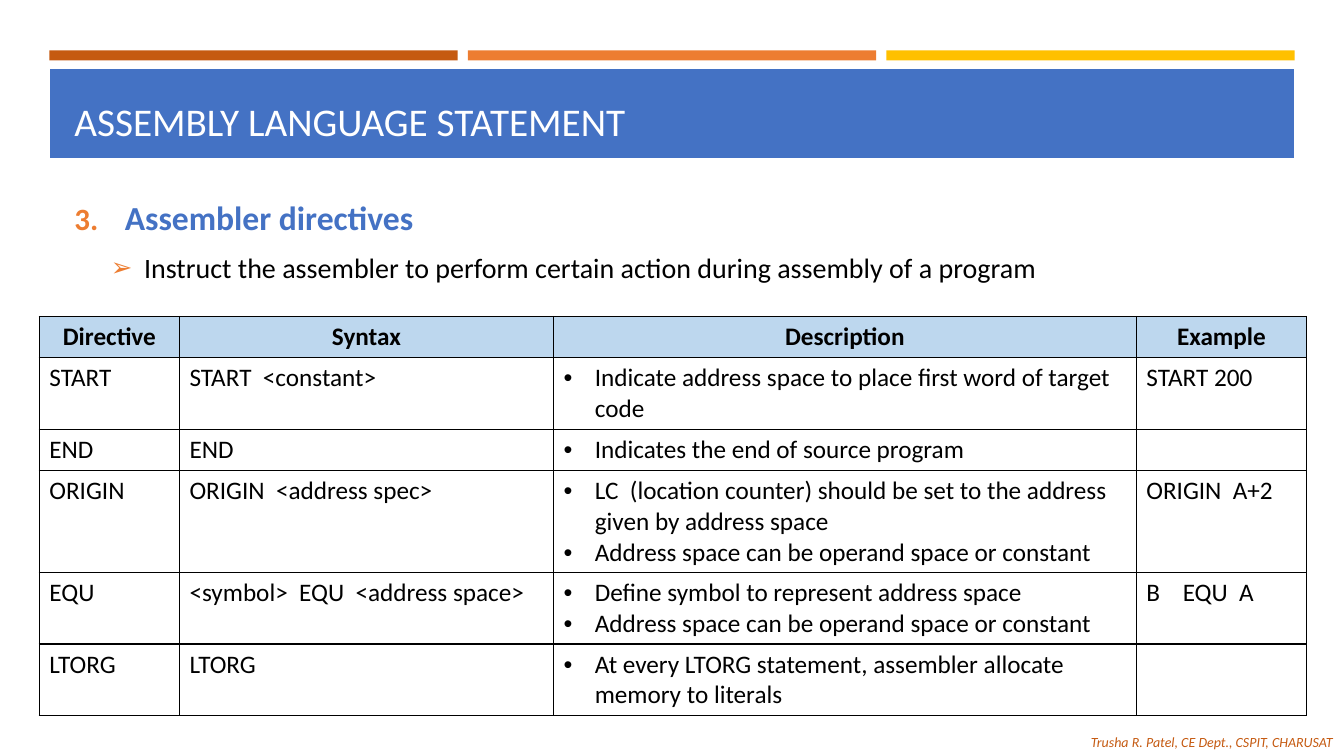
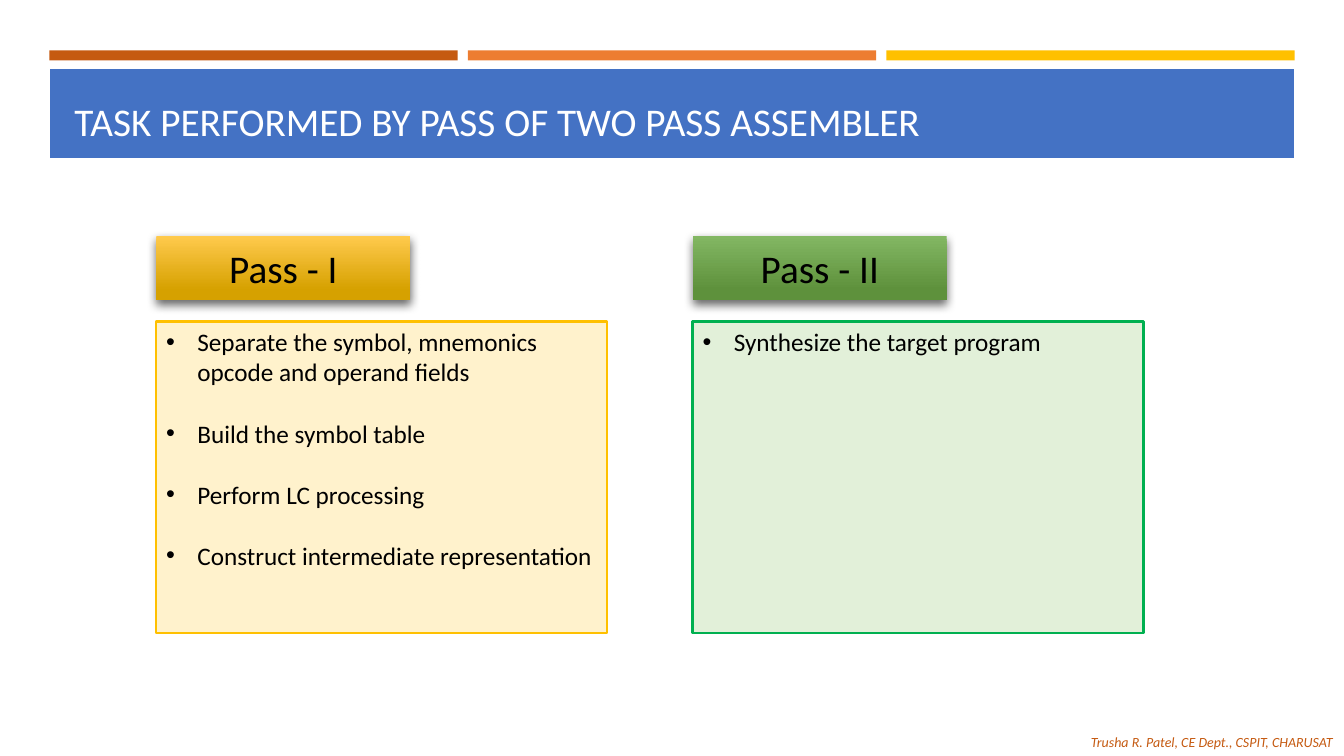
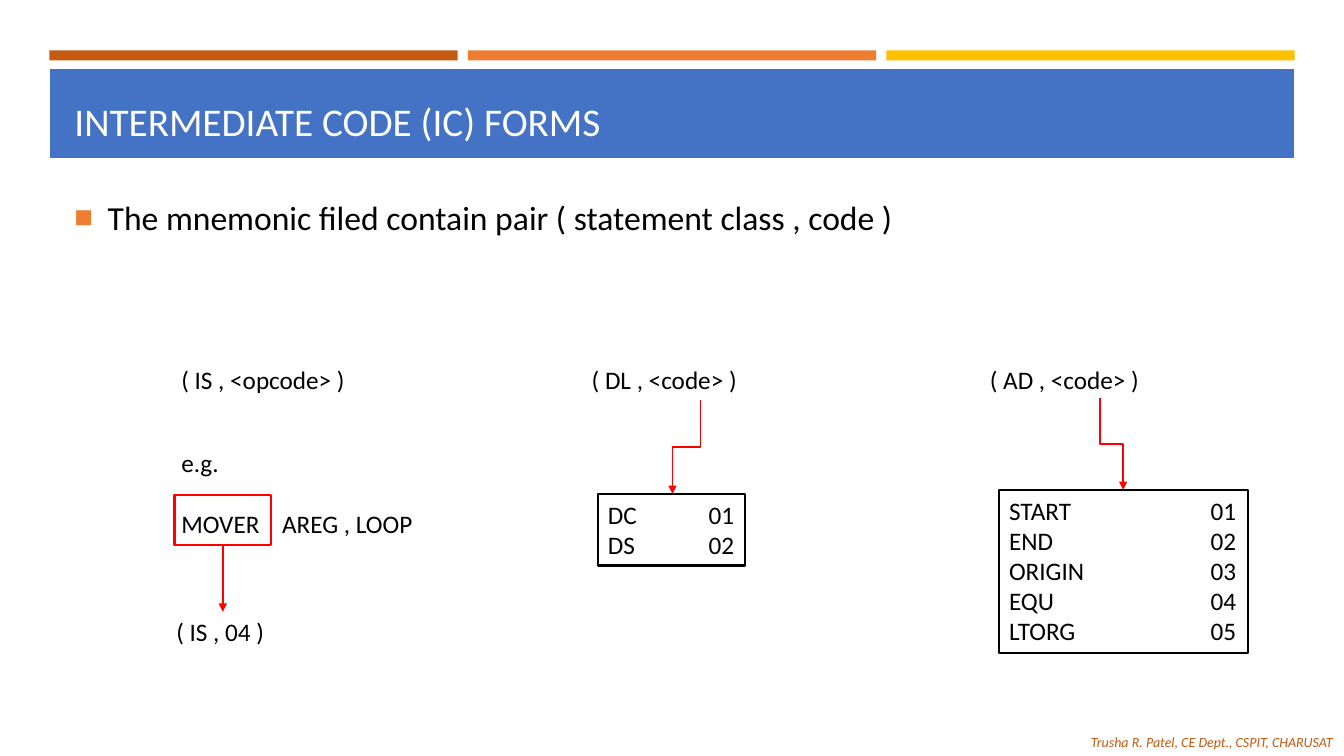
import lxml.etree
import pptx
import pptx.dml.color
import pptx.enum.shapes
import pptx.enum.text
import pptx.oxml.ns
import pptx.util

Inches = pptx.util.Inches
Pt = pptx.util.Pt
RECTANGLE = pptx.enum.shapes.MSO_SHAPE.RECTANGLE
CONNECTOR = pptx.enum.shapes.MSO_CONNECTOR
CENTER = pptx.enum.text.PP_ALIGN.CENTER
ANCHOR = pptx.enum.text.MSO_ANCHOR

FONT = "Calibri"
BLACK = "000000"
WHITE = "FFFFFF"
BLUE = "4472C4"
ORANGE = "ED7D31"
RUST = "C55A11"
GOLD = "FFC000"
GREEN = "00B050"
RED = "FF0000"
PALE_BLUE = "BDD7EE"


def rgb(value):
    return pptx.dml.color.RGBColor.from_string(value)


def add_child(parent, tag, **attributes):
    child = lxml.etree.SubElement(parent, pptx.oxml.ns.qn(tag))
    for name, value in attributes.items():
        child.set(name, str(value))
    return child


def add_color(parent, color):
    return add_child(parent, "a:srgbClr", val=color)


class Deck:
    def __init__(self):
        self.presentation = pptx.Presentation()
        self.presentation.slide_width = Inches(13.33)
        self.presentation.slide_height = Inches(7.5)
        self.slide = None

    def start_slide(self, title):
        self.slide = self.presentation.slides.add_slide(self.presentation.slide_layouts[6])
        self.text_box(10.72, 7.23, 2.61, 0.27, ["Trusha R. Patel, CE Dept., CSPIT, CHARUSAT"],
                      size=10, color=RUST, italic=True)
        self.rectangle(0.48, 0.67, 12.37, 0.91, fill=BLUE, line=WHITE, line_width=2)
        for index, color in enumerate([RUST, ORANGE, GOLD]):
            self.rectangle(0.49 + 4.15 * index, 0.5, 4.05, 0.1, fill=color)
        title_box = self.text_box(0.64, 0.77, 12.06, 0.71, [title], wrap=True, size=28,
                                  color=WHITE)
        title_box.text_frame.vertical_anchor = ANCHOR.BOTTOM

    def add_paragraphs(self, frame, texts, size=18, color=BLACK, bold=False, italic=False,
                       align=None, bullet=None, number=None, marker_color=None, margin=0.31,
                       hanging=0.31, before=0, after=0, tab=None):
        for text in texts:
            first = not frame.text
            paragraph = frame.paragraphs[0] if first else frame.add_paragraph()
            paragraph.text = text
            properties = paragraph._p.get_or_add_pPr()
            if bullet or number:
                properties.set("marL", str(Inches(margin)))
                properties.set("indent", str(-Inches(hanging)))
                if marker_color:
                    add_color(add_child(properties, "a:buClr"), marker_color)
                    add_child(properties, "a:buSzPct", val=92000)
                if number:
                    add_child(properties, "a:buAutoNum", type="arabicPeriod", startAt=number)
                else:
                    add_child(properties, "a:buFont", typeface="Arial")
                    add_child(properties, "a:buChar", char=bullet)
            if tab:
                stops = add_child(properties, "a:tabLst")
                add_child(stops, "a:tab", pos=Inches(tab), algn="l")
            if before and not first:
                paragraph.space_before = Pt(before)
            if after:
                paragraph.space_after = Pt(after)
            if align is not None:
                paragraph.alignment = align
            font = paragraph.font
            font.name = FONT
            font.size = Pt(size)
            font.bold = bold
            font.italic = italic
            font.color.rgb = rgb(color)

    def text_box(self, left, top, width, height, texts, wrap=False, **style):
        box = self.slide.shapes.add_textbox(Inches(left), Inches(top), Inches(width), Inches(height))
        box.text_frame.word_wrap = wrap
        self.add_paragraphs(box.text_frame, texts, **style)
        return box

    def rectangle(self, left, top, width, height, fill=None, line=None, line_width=1.75):
        shape = self.slide.shapes.add_shape(
            RECTANGLE, Inches(left), Inches(top), Inches(width), Inches(height))
        shape.shadow.inherit = False
        if fill:
            shape.fill.solid()
            shape.fill.fore_color.rgb = rgb(fill)
        else:
            shape.fill.background()
        if line:
            shape.line.color.rgb = rgb(line)
            shape.line.width = Pt(line_width)
        else:
            shape.line.fill.background()
        return shape

    def panel(self, left, top, width, height, texts, fill, line, wrap=True, **style):
        shape = self.rectangle(left, top, width, height, fill, line)
        shape.text_frame.word_wrap = wrap
        shape.text_frame.vertical_anchor = ANCHOR.TOP
        self.add_paragraphs(shape.text_frame, texts, align=pptx.enum.text.PP_ALIGN.LEFT, **style)

    def heading_button(self, left, top, width, height, text, colors):
        shape = self.rectangle(left, top, width, height)
        shape.fill.gradient()
        shape.fill.gradient_angle = 270
        for stop, color, position in zip(shape.fill.gradient_stops, colors, [0, 0.84]):
            stop.color.rgb = rgb(color)
            stop.position = position
        effects = shape._element.spPr.find(pptx.oxml.ns.qn("a:effectLst"))
        shadow = add_child(effects, "a:outerShdw", blurRad=Pt(7), dist=Pt(3),
                           dir=84 * 60000, rotWithShape=0)
        add_child(add_color(shadow, BLACK), "a:alpha", val=60000)
        shape.text_frame.vertical_anchor = ANCHOR.MIDDLE
        self.add_paragraphs(shape.text_frame, [text], size=28, align=CENTER)

    def arrow(self, kind, begin_x, begin_y, end_x, end_y):
        connector = self.slide.shapes.add_connector(
            kind, Inches(begin_x), Inches(begin_y), Inches(end_x), Inches(end_y))
        connector.line.color.rgb = rgb(RED)
        connector.line.width = Pt(1)
        add_child(connector.line._get_or_add_ln(), "a:tailEnd", type="triangle")
        add_child(connector._element.spPr, "a:effectLst")
        return connector

    def down_elbow(self, begin_x, begin_y, end_x, end_y):
        center_x, center_y = (begin_x + end_x) / 2, (begin_y + end_y) / 2
        half_length, half_shift = (end_y - begin_y) / 2, abs(end_x - begin_x) / 2
        rightward = end_x > begin_x
        if rightward:
            half_length = -half_length
        connector = self.arrow(CONNECTOR.ELBOW, center_x - half_length, center_y - half_shift,
                               center_x + half_length, center_y + half_shift)
        transform = connector._element.spPr.find(pptx.oxml.ns.qn("a:xfrm"))
        transform.set("rot", str((270 if rightward else 90) * 60000))

    def table(self, left, top, widths, heights, rows, bullet_column):
        frame = self.slide.shapes.add_table(len(rows), len(widths), Inches(left), Inches(top),
                                            Inches(sum(widths)), Inches(sum(heights)))
        table = frame.table
        table.first_row = False
        table.horz_banding = False
        for column, width in zip(table.columns, widths):
            column.width = Inches(width)
        for row_index, (values, height) in enumerate(zip(rows, heights)):
            table.rows[row_index].height = Inches(height)
            for column_index, value in enumerate(values):
                cell = table.cell(row_index, column_index)
                properties = cell._tc.get_or_add_tcPr()
                for side in ["a:lnL", "a:lnR", "a:lnT", "a:lnB"]:
                    border = add_child(properties, side, w=Pt(1))
                    add_color(add_child(border, "a:solidFill"), BLACK)
                if row_index == 0:
                    cell.fill.solid()
                    cell.fill.fore_color.rgb = rgb(PALE_BLUE)
                    self.add_paragraphs(cell.text_frame, [value], bold=True, align=CENTER)
                else:
                    cell.fill.background()
                    bullet = "•" if column_index == bullet_column else None
                    self.add_paragraphs(cell.text_frame, value.split("\n"), bullet=bullet)


def build_directives(deck):
    deck.start_slide("ASSEMBLY LANGUAGE STATEMENT")
    body = deck.text_box(0.64, 1.9, 12.06, 1.1, ["Assembler directives"], wrap=True, size=24,
                         color=BLUE, bold=True, number=3, marker_color=ORANGE,
                         margin=0.5, hanging=0.5, after=6)
    deck.add_paragraphs(
        body.text_frame,
        ["Instruct the assembler to perform certain action during assembly of a program"],
        size=20, bullet="➢", marker_color=ORANGE, margin=0.69, hanging=0.33, before=4, after=6)
    rows = [
        ["Directive", "Syntax", "Description", "Example"],
        ["START", "START  <constant>",
         "Indicate address space to place first word of target code", "START 200"],
        ["END", "END", "Indicates the end of source program", ""],
        ["ORIGIN", "ORIGIN  <address spec>",
         "LC  (location counter) should be set to the address given by address space\n"
         "Address space can be operand space or constant", "ORIGIN  A+2"],
        ["EQU", "<symbol>  EQU  <address space>",
         "Define symbol to represent address space\n"
         "Address space can be operand space or constant", "B    EQU  A"],
        ["LTORG", "LTORG",
         "At every LTORG statement, assembler allocate memory to literals", ""],
    ]
    heights = [0.11 + 0.3 * line_count for line_count in [1, 2, 1, 3, 2, 2]]
    deck.table(0.39, 3.14, [1.39, 3.71, 5.78, 1.69], heights, rows, bullet_column=2)


def build_passes(deck):
    deck.start_slide("TASK PERFORMED BY PASS OF TWO PASS ASSEMBLER")
    passes = [
        (1.55, "Pass - I", ["FFCA4D", "D6A100"], "FFF2CC", GOLD,
         ["Separate the symbol, mnemonics opcode and operand fields", "Build the symbol table",
          "Perform LC processing", "Construct intermediate representation"]),
        (6.87, "Pass - II", ["83B763", "5E913C"], "E2F0D9", GREEN,
         ["Synthesize the target program"]),
    ]
    for left, name, gradient, fill, line, tasks in passes:
        deck.heading_button(left, 2.34, 2.52, 0.64, name, gradient)
        deck.panel(left, 3.19, 4.47, 3.09, tasks, fill, line, bullet="•", before=22)


def build_code_forms(deck):
    deck.start_slide("INTERMEDIATE CODE (IC) FORMS")
    deck.text_box(0.64, 1.9, 12.06, 0.6,
                  ["The mnemonic filed contain pair ( statement class , code )"], wrap=True,
                  size=24, bullet="■", marker_color=ORANGE, margin=0.33, hanging=0.33, after=6)
    for left, width, form in [(1.7, 1.91, "( IS , <opcode> )"), (5.77, 1.78, "( DL , <code> )"),
                              (9.72, 1.8, "( AD , <code> )")]:
        deck.text_box(left, 3.57, width, 0.4, [form])

    example = deck.text_box(1.7, 4.39, 2.69, 1.01, ["e.g."])
    deck.add_paragraphs(example.text_frame, ["MOVER\tAREG , LOOP"], before=22, tab=1)
    result = deck.text_box(1.65, 6.07, 1.12, 0.4, ["( IS , 04 )"])
    mnemonic_frame = deck.rectangle(1.73, 4.91, 0.96, 0.5, line=RED)
    arrow = deck.arrow(CONNECTOR.STRAIGHT, 2.21, 5.41, 2.21, 6.07)
    arrow.begin_connect(mnemonic_frame, 2)
    arrow.end_connect(result, 0)

    deck.panel(5.93, 4.9, 1.46, 0.71, ["DC\t01", "DS\t02"], WHITE, BLACK, wrap=False, tab=1)
    deck.down_elbow(6.95, 3.97, 6.67, 4.9)
    directives = ["START", "END", "ORIGIN", "EQU", "LTORG"]
    codes = [f"{name}\t{code:02d}" for code, name in enumerate(directives, 1)]
    deck.panel(9.91, 4.86, 2.47, 1.62, codes, WHITE, BLACK, wrap=False, tab=2)
    deck.down_elbow(10.91, 3.95, 11.14, 4.86)


def main():
    deck = Deck()
    build_directives(deck)
    build_passes(deck)
    build_code_forms(deck)
    deck.presentation.save("out.pptx")


if __name__ == "__main__":
    main()
